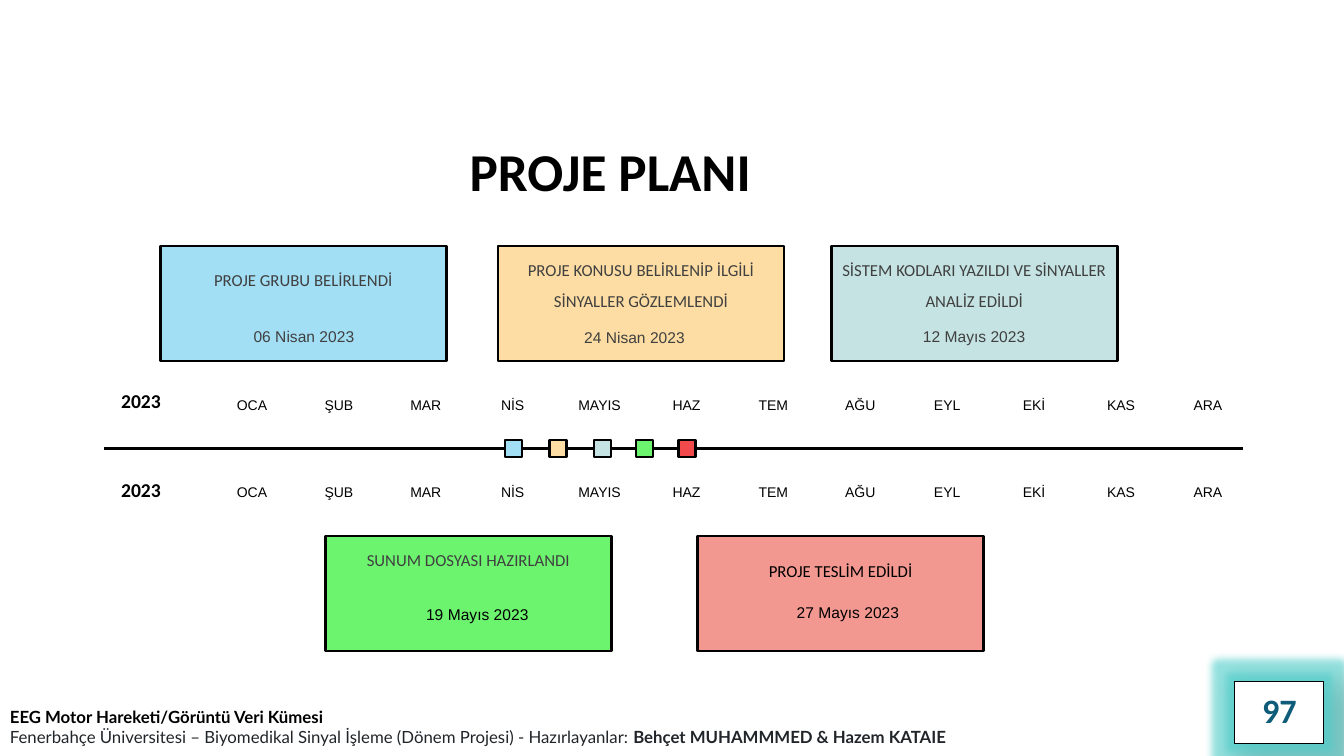
from lxml.etree import SubElement
from pptx import Presentation
from pptx.dml.color import RGBColor
from pptx.enum.shapes import MSO_CONNECTOR, MSO_SHAPE
from pptx.enum.text import MSO_ANCHOR, MSO_AUTO_SIZE, PP_ALIGN
from pptx.oxml import parse_xml
from pptx.oxml.ns import qn
from pptx.util import Cm, Pt

BLACK = RGBColor(0x00, 0x00, 0x00)
WHITE = RGBColor(0xFF, 0xFF, 0xFF)
GREY = RGBColor(0x40, 0x40, 0x40)
INK = RGBColor(0x21, 0x25, 0x29)
NAVY = RGBColor(0x0E, 0x5C, 0x79)
BLUE = RGBColor(0xA2, 0xDE, 0xF4)
SAND = RGBColor(0xFD, 0xDD, 0xA3)
MINT = RGBColor(0xC5, 0xE3, 0xE3)
GREEN = RGBColor(0x6C, 0xF4, 0x6F)
SALMON = RGBColor(0xF3, 0x98, 0x91)
RED = RGBColor(0xF2, 0x49, 0x4C)

# Content
TITLE = "PROJE PLANI"
YEAR = "2023"
MONTHS = ["OCA", "ŞUB", "MAR", "NİS", "MAYIS", "HAZ",
          "TEM", "AĞU", "EYL", "EKİ", "KAS", "ARA"]
UPPER, LOWER = 6.2, 13.51  # tops of the two card rows, cm
# task, task colour, line spacing, date, date colour, card fill,
# card left and top, date left and top, marker fill, marker centre (cm)
MILESTONES = [
    ("PROJE GRUBU BELİRLENDİ", GREY, 2, "06 Nisan 2023", GREY, BLUE,
     (4.04, UPPER), (5.31, 8.24), BLUE, 12.94),
    ("PROJE KONUSU BELİRLENİP İLGİLİ SİNYALLER GÖZLEMLENDİ", GREY, 1.5,
     "24 Nisan 2023", GREY, SAND, (12.55, UPPER), (13.64, 8.28), SAND, 14.06),
    ("SİSTEM KODLARI YAZILDI VE SİNYALLER ANALİZ EDİLDİ", GREY, 1.5,
     "12 Mayıs 2023", GREY, MINT, (20.95, UPPER), (22.2, 8.24), MINT, 15.18),
    ("SUNUM DOSYASI HAZIRLANDI", GREY, 1.5, "19 Mayıs 2023", BLACK, GREEN,
     (8.2, LOWER), (9.68, 15.24), GREEN, 16.24),
    ("PROJE TESLİM EDİLDİ", BLACK, 2, "27 Mayıs 2023", BLACK, SALMON,
     (17.58, LOWER), (19.02, 15.19), RED, 17.31),
]
PAGE_NUMBER = "97"
FOOTER = [
    [("EEG Motor Hareketi/Görüntü Veri Kümesi", BLACK, True)],
    [("Fenerbahçe Üniversitesi – Biyomedikal Sinyal İşleme (Dönem Projesi)"
      " - Hazırlayanlar: ", INK, False),
     ("Behçet MUHAMMMED & Hazem KATAIE", INK, True)],
]

# Layout, cm
TIMELINE_Y = 11.3
TIMELINE_START, TIMELINE_END = 2.62, 31.32
MONTH_LEFT, MONTH_STEP = 5.46, 2.19
SCALES = [(9.5, 9.91), (11.73, 12.11)]  # tops of year and months
MARKER = 0.43


def style(run, size, font, colour, bold=False):
    run.font.size = Pt(size)
    run.font.name = font
    run.font.color.rgb = colour
    run.font.bold = bold


def write(shape, text, size, font, colour, bold=False, spacing=0.9,
          align=PP_ALIGN.CENTER, anchor=MSO_ANCHOR.TOP):
    frame = shape.text_frame
    frame.text = text
    frame.word_wrap = True
    frame.auto_size = MSO_AUTO_SIZE.NONE
    frame.vertical_anchor = anchor
    paragraph = frame.paragraphs[0]
    paragraph.alignment = align
    paragraph.line_spacing = spacing
    style(paragraph.runs[0], size, font, colour, bold)


def add_label(left, top, width, height, *args, **options):
    label = slide.shapes.add_textbox(Cm(left), Cm(top), Cm(width), Cm(height))
    write(label, *args, **options)


def add_box(left, top, width, height, fill, weight=1.75):
    box = slide.shapes.add_shape(MSO_SHAPE.RECTANGLE, Cm(left), Cm(top),
                                 Cm(width), Cm(height))
    box.shadow.inherit = False
    box.fill.solid()
    box.fill.fore_color.rgb = fill
    box.line.color.rgb = BLACK
    box.line.width = Pt(weight)
    return box


prs = Presentation()
prs.slide_width, prs.slide_height = Cm(33.87), Cm(19.05)
slide = prs.slides.add_slide(prs.slide_layouts[5])

# Timeline
timeline = slide.shapes.add_connector(
    MSO_CONNECTOR.STRAIGHT, Cm(TIMELINE_START), Cm(TIMELINE_Y),
    Cm(TIMELINE_END), Cm(TIMELINE_Y))
timeline.line.color.rgb = BLACK
timeline.line.width = Pt(2)
SubElement(timeline._element.spPr, qn("a:effectLst"))

# Title
title = slide.shapes.title
title.left, title.top, title.width, title.height = (
    Cm(11.58), Cm(3.46), Cm(10.69), Cm(1.85))
write(title, TITLE, 38, "Calibri", BLACK, True, align=PP_ALIGN.LEFT,
      anchor=MSO_ANCHOR.MIDDLE)

# Year and month scales above and below the timeline
for year_top, month_top in SCALES:
    add_label(2.54, year_top, 2.03, 1.27, YEAR, 14, "Calibri", BLACK, True,
              anchor=MSO_ANCHOR.MIDDLE)
    for i, month in enumerate(MONTHS):
        add_label(MONTH_LEFT + i * MONTH_STEP, month_top, 1.78, 0.76,
                  month, 10, "Arial", BLACK)

# Milestone cards, dates and markers
for (task, task_colour, spacing, date, date_colour, fill, card_at, date_at,
     marker_fill, marker_x) in MILESTONES:
    card = add_box(*card_at, 7.21, 2.9, fill)
    write(card, task, 12, "Calibri", task_colour, spacing=spacing)
    card.text_frame.margin_top = Cm(0.1)
    add_label(*date_at, 4.7, 0.64, date, 11.1, "Arial", date_colour,
              spacing=0.7)
    add_box(marker_x - MARKER / 2, TIMELINE_Y - MARKER / 2, MARKER, MARKER,
            marker_fill)

# Page number with a teal glow and a soft shadow
page = add_box(31.12, 17.17, 2.24, 1.57, WHITE, 0.75)
write(page, PAGE_NUMBER, 24.4, "Calibri", NAVY, True,
      anchor=MSO_ANCHOR.MIDDLE)
effects = page._element.spPr.find(qn("a:effectLst"))
for effect in (
        '<a:glow {} rad="139700"><a:srgbClr val="4FCFCB">'
        '<a:alpha val="60000"/></a:srgbClr></a:glow>',
        '<a:outerShdw {} blurRad="190500" dist="228600" dir="2700000">'
        '<a:srgbClr val="000000"><a:alpha val="30000"/></a:srgbClr>'
        '</a:outerShdw>'):
    effects.append(parse_xml(effect.format(
        'xmlns:a="http://schemas.openxmlformats.org/drawingml/2006/main"')))

# Footer
footer = slide.shapes.add_textbox(Cm(0), Cm(17.7), Cm(25.78), Cm(1.22))
footer.text_frame.word_wrap = True
footer.text_frame.vertical_anchor = MSO_ANCHOR.MIDDLE
footer.text_frame.text = "\n".join(
    "".join(text for text, _, _ in line) for line in FOOTER)
for paragraph, line in zip(footer.text_frame.paragraphs, FOOTER):
    paragraph.runs[0].text = line[0][0]
    for text, _, _ in line[1:]:
        paragraph.add_run().text = text
    for run, (_, colour, bold) in zip(paragraph.runs, line):
        style(run, 12, "Lato", colour, bold)

prs.save("out.pptx")
